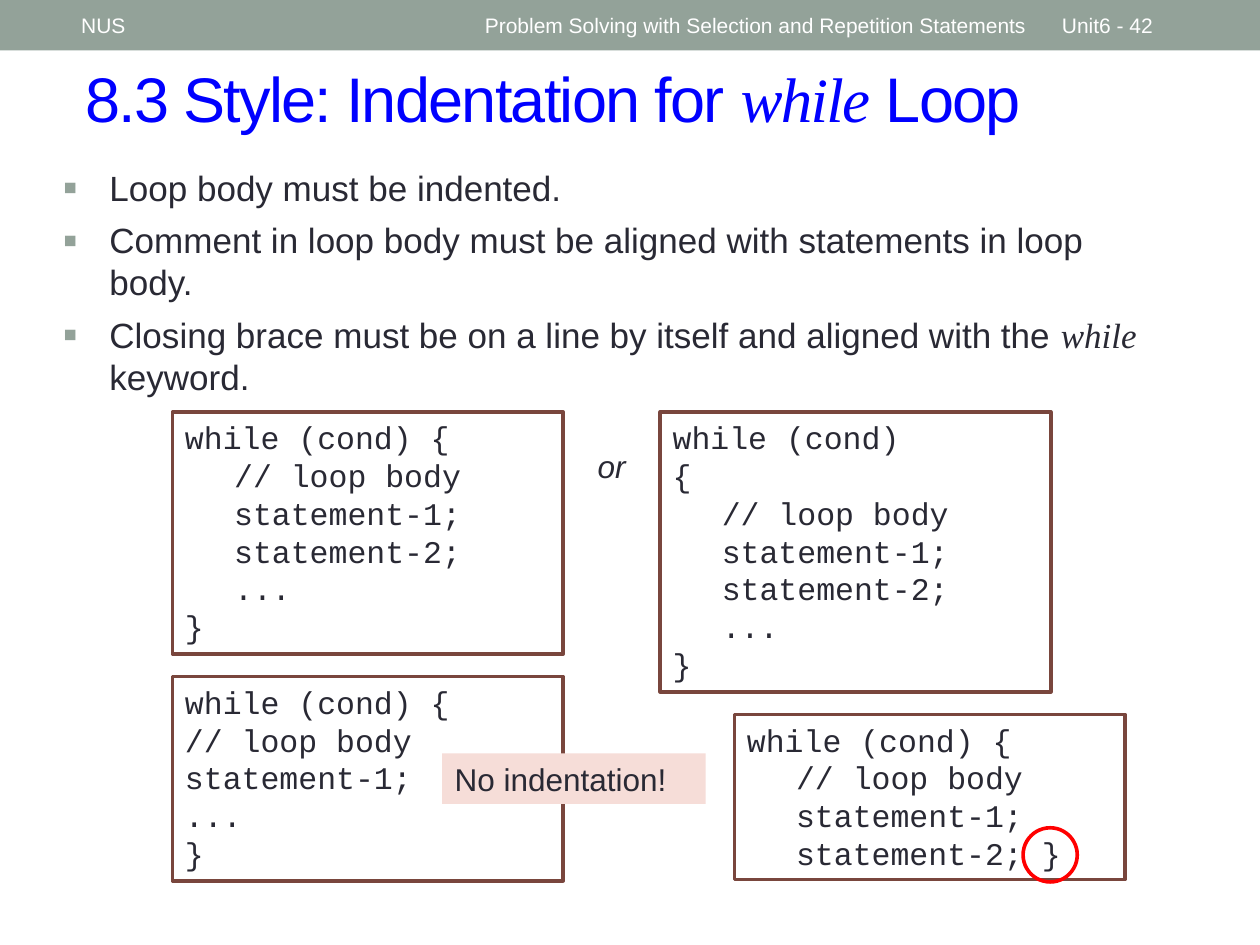
from dataclasses import dataclass
from lxml.etree import SubElement
from pptx import Presentation
from pptx.dml.color import RGBColor
from pptx.enum.shapes import MSO_SHAPE as Kind
from pptx.enum.text import MSO_ANCHOR as Anchor, PP_ALIGN as Align
from pptx.oxml.ns import qn
from pptx.util import Inches, Pt

HUES = {"bar": "93A299", "ink": "292934", "title": "0000FF", "edge": "79463D",
        "note": "F6DDD8", "ring": "FF0000", "white": "FFFFFF"}
SANS, SERIF, MONO = "Arial", "Times New Roman", "Courier New"
BODY = "\t// loop body\n\tstatement-1;\n\tstatement-2;"


@dataclass
class Box:
    """A place on the slide, in inches."""
    left: float
    top: float
    width: float
    height: float


@dataclass
class Code:
    """A framed code sample."""
    box: Box
    text: str


HEADS = [(Box(0.5, 0.02, 3.17, 0.36), " NUS"),
         (Box(3.75, 0.02, 4.5, 0.36),
          "Problem Solving with Selection and Repetition Statements"),
         (Box(8.33, 0.02, 1.17, 0.36), "Unit6 - 42")]
POINTS = ("Loop body must be indented.\n"
          "Comment in loop body must be aligned with statements in loop body.\n"
          "Closing brace must be on a line by itself and aligned with the "
          "*while* keyword.")
CODES = [Code(Box(1.37, 3.27, 3.1, 1.92), "while (cond) {\n" + BODY + "\n\t...\n}"),
         Code(Box(5.24, 3.27, 3.1, 2.22), "while (cond)\n{\n" + BODY + "\n\t...\n}"),
         Code(Box(1.37, 5.37, 3.1, 1.62),
              "while (cond) {\n// loop body\nstatement-1;\n...\n}"),
         Code(Box(5.83, 5.67, 3.1, 1.31), "while (cond) {\n" + BODY + " }")]


def tint(name: str) -> RGBColor:
    """Look up a colour by name."""
    return RGBColor.from_string(HUES[name])


def place(box: Box) -> tuple:
    """Turn a box into lengths."""
    return tuple(Inches(n) for n in (box.left, box.top, box.width, box.height))


def draw(slide, box: Box, kind=Kind.RECTANGLE, fill: str = "", edge: str = ""):
    """Draw a shape with an optional fill and edge."""
    shape = slide.shapes.add_shape(kind, *place(box))
    shape.shadow.inherit = False
    if fill:
        shape.fill.solid()
        shape.fill.fore_color.rgb = tint(fill)
    else:
        shape.fill.background()
    if edge:
        shape.line.color.rgb = tint(edge)
        shape.line.width = Pt(2.08)
    else:
        shape.line.fill.background()
    return shape


def bullet(para) -> None:
    """Give a paragraph a square bullet with a hanging indent."""
    props = para._p.get_or_add_pPr()
    props.set("marL", str(Inches(0.37)))
    props.set("indent", str(Inches(-0.37)))
    SubElement(SubElement(props, qn("a:buClr")), qn("a:srgbClr"), val=HUES["bar"])
    SubElement(props, qn("a:buSzPct"), val="120000")
    SubElement(props, qn("a:buFont"), typeface=SANS)
    SubElement(props, qn("a:buChar"), char="▪")


def stops(para) -> None:
    """Set the tab stops of a code line."""
    tabs = SubElement(para._p.get_or_add_pPr(), qn("a:tabLst"))
    for pos in (0.39, 0.79):
        SubElement(tabs, qn("a:tab"), pos=str(Inches(pos)), algn="l")


def write(shape, text: str, size=18, font=SANS, hue="ink", align=Align.LEFT,
          anchor=Anchor.TOP, gap=0, track=0, style=None) -> None:
    """Write lines of text, with words between asterisks in serif italics."""
    frame = shape.text_frame
    frame.word_wrap = True
    frame.vertical_anchor = anchor
    for i, line in enumerate(text.split("\n")):
        para = frame.add_paragraph() if i else frame.paragraphs[0]
        if style:
            style(para)
        para.alignment = align
        if i and gap:
            para.space_before = Pt(gap)
        for j, part in enumerate(line.split("*")):
            if not part:
                continue
            run = para.add_run()
            run.text = part
            run.font.size = Pt(size)
            run.font.color.rgb = tint(hue)
            run.font.name = SERIF if j % 2 else font
            run.font.italic = j % 2 == 1
            if track:
                run.font._element.set("spc", str(track))


def label(slide, box: Box, text: str, **form) -> None:
    """Add a text box."""
    write(slide.shapes.add_textbox(*place(box)), text, **form)


def main() -> None:
    """Build the slide."""
    deck = Presentation()
    deck.slide_width, deck.slide_height = Inches(10), Inches(7.5)
    slide = deck.slides.add_slide(deck.slide_layouts[6])
    draw(slide, Box(0, 0, 10, 0.4), fill="bar")
    for box, text in HEADS:
        label(slide, box, text, size=12, hue="white", anchor=Anchor.MIDDLE)
    label(slide, Box(0.58, 0.42, 9.17, 0.92),
          "8.3 Style: Indentation for *while* Loop", size=36, hue="title", track=-100)
    label(slide, Box(0.4, 1.27, 8.92, 2), POINTS, size=20, gap=6, style=bullet)
    for code in CODES:
        write(draw(slide, code.box, fill="white", edge="edge"), code.text,
              font=MONO, style=stops)
    or_box = slide.shapes.add_textbox(*place(Box(4.47, 3.5, 0.77, 0.4)))
    write(or_box, "or", align=Align.CENTER)
    or_box.text_frame.paragraphs[0].runs[0].font.italic = True
    write(draw(slide, Box(3.51, 5.98, 2.09, 0.4), fill="note"), "No indentation!")
    draw(slide, Box(8.12, 6.57, 0.43, 0.43), Kind.OVAL, edge="ring")
    deck.save("out.pptx")


if __name__ == "__main__":
    main()
